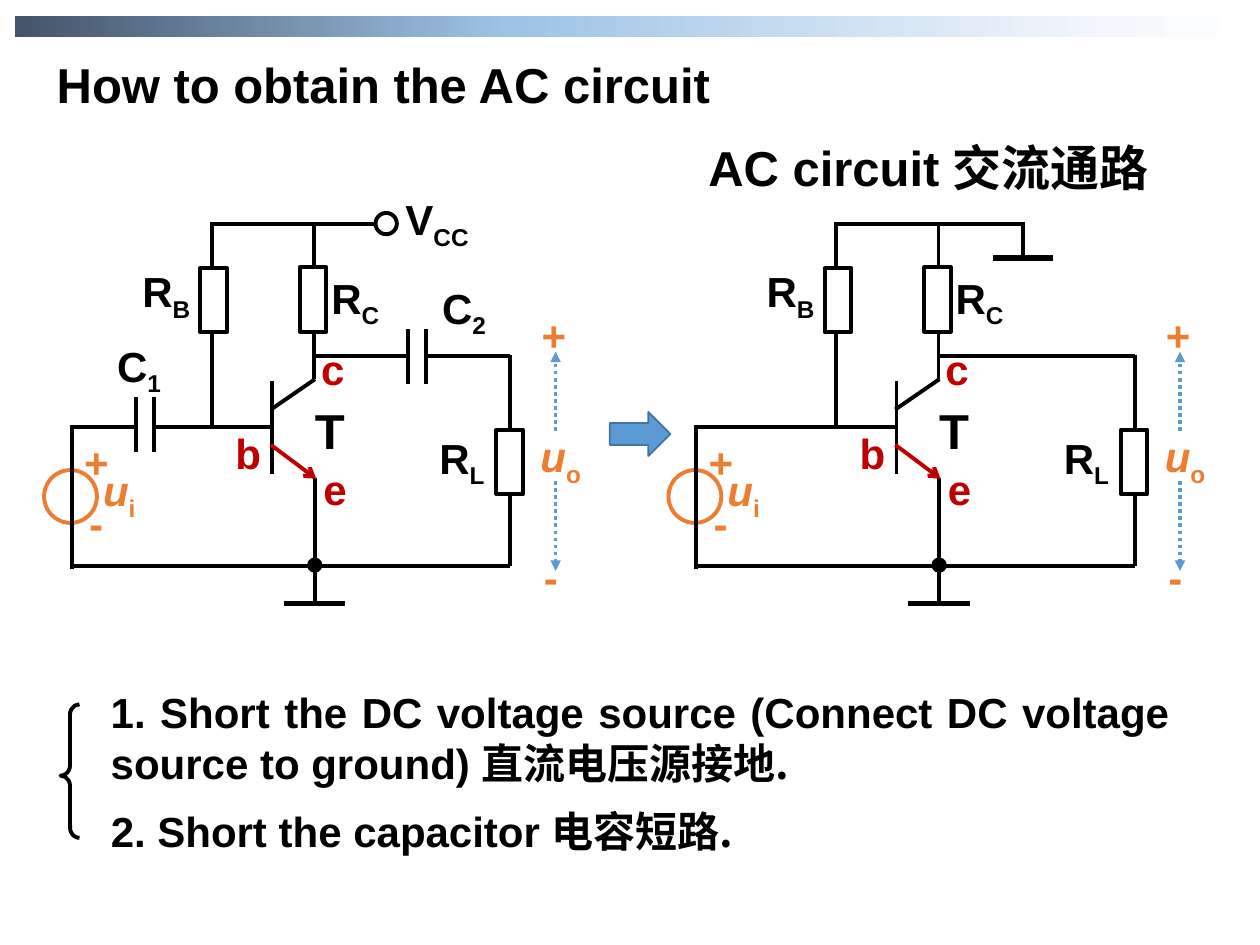
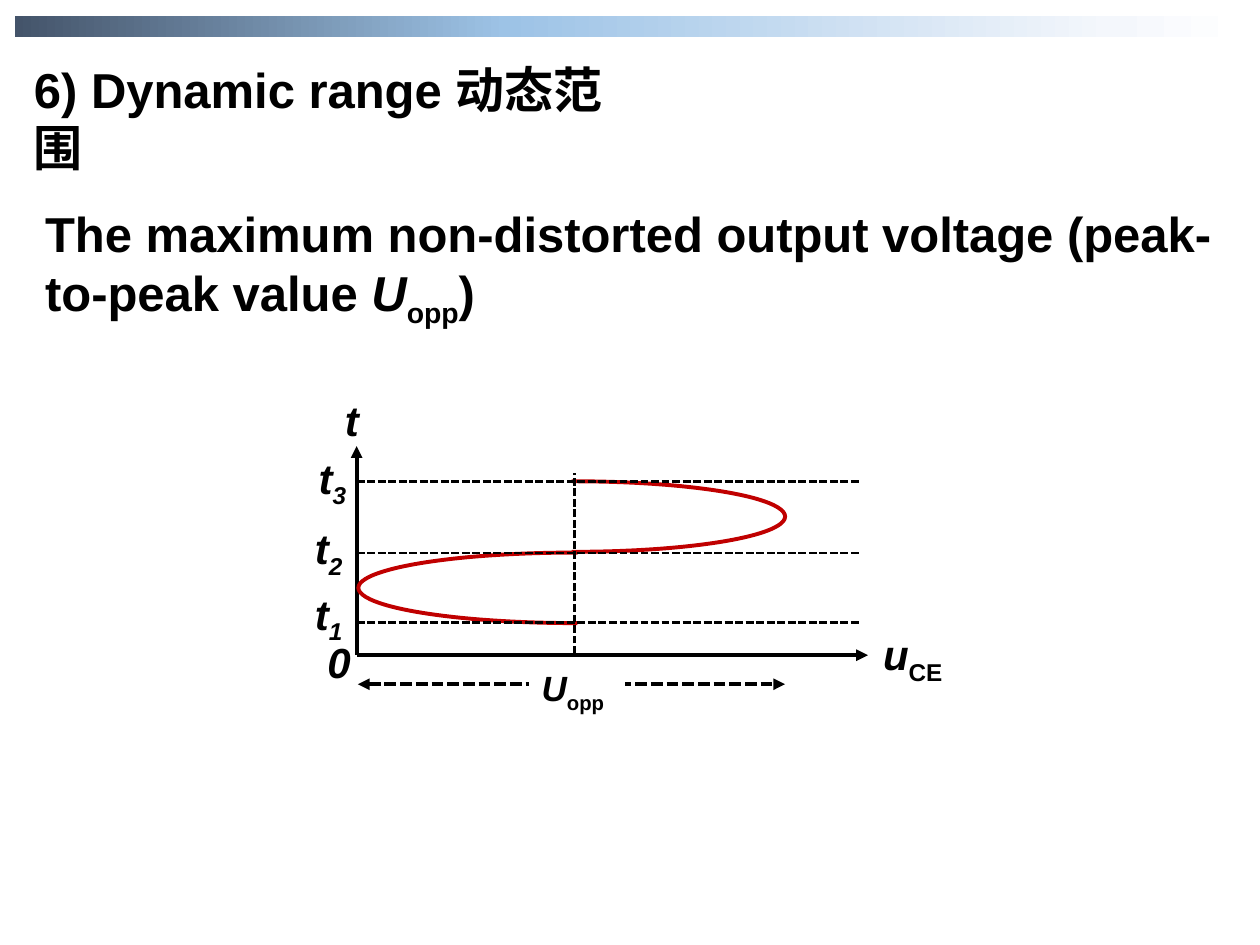
from lxml import etree
from pptx import Presentation
from pptx.dml.color import RGBColor
from pptx.enum.dml import MSO_LINE
from pptx.enum.shapes import MSO_CONNECTOR, MSO_SHAPE
from pptx.enum.text import MSO_ANCHOR, MSO_AUTO_SIZE, PP_ALIGN
from pptx.oxml.ns import qn
from pptx.util import Pt

STRAIGHT = MSO_CONNECTOR.STRAIGHT
RECT, OVAL, ARC = MSO_SHAPE.RECTANGLE, MSO_SHAPE.OVAL, MSO_SHAPE.ARC
ARROW, BRACE = MSO_SHAPE.RIGHT_ARROW, MSO_SHAPE.LEFT_BRACE
DOTS, DASHES = MSO_LINE.ROUND_DOT, MSO_LINE.SQUARE_DOT
LEFT, CENTER, JUSTIFY = PP_ALIGN.LEFT, PP_ALIGN.CENTER, PP_ALIGN.JUSTIFY
TOP, NO_FIT = MSO_ANCHOR.TOP, MSO_AUTO_SIZE.NONE

BLACK, WHITE, RED, ORANGE, BLUE = "000000", "FFFFFF", "C00000", "ED7D31", "5B9BD5"
FONT, CJK_FONT = "Arial", "Noto Sans CJK SC"
BAND_STOPS = [(0, "44546A"), (40, "9DC3E6"), (89, "F4F7FC"), (100, WHITE)]

# Runs are (text, flags): i italic, s subscript, c Chinese
# Slide 1: texts
AC_TITLE = [("How to obtain the AC circuit", "")]
AC_HEADING = [("AC circuit ", ""), ("交流通路", "c")]
STEPS = [
    (388.8, 63.4, 619.2, [("1. Short the DC voltage source (Connect DC voltage source to ground) ", ""),
                          ("直流电压源接地.", "c")]),
    (456.5, 36, 433.4, [("2. Short the capacitor ", ""), ("电容短路.", "c")]),
]

# Slide 1: circuit, in the coordinates of the left-hand drawing
AC_SHIFT = 356.8
SOURCE_X, LOAD_X, BASE_X, EMITTER_X, BIAS_X = 41, 291.6, 155.5, 180, 121
TOP_Y, OUT_Y, BASE_Y, GROUND_Y = 128.2, 203.5, 244, 323.3
COMMON_WIRES = [
    (BASE_X, 217.5, BASE_X, 270.7),
    (BASE_X - 0.7, 234, EMITTER_X, 216.7),
    (179.5, 216.7, 179.5, 127.2),
    (EMITTER_X, 273, EMITTER_X, 345),
    (BIAS_X, BASE_Y, BIAS_X, 126.7),
    (LOAD_X, GROUND_Y, SOURCE_X, GROUND_Y),
    (LOAD_X, 203, LOAD_X, GROUND_Y),
    (SOURCE_X, 242.6, SOURCE_X, 325.4),
]
DC_WIRES = [
    (214.6, TOP_Y, 120.2, TOP_Y),
    (BASE_X, BASE_Y, 87.8, BASE_Y),
    (77.8, BASE_Y, SOURCE_X, BASE_Y),
    (233.3, OUT_Y, EMITTER_X, OUT_Y),
    (LOAD_X, OUT_Y, 243.4, OUT_Y),
] + [(x, y, x, y + 31.7) for x, y in [(77.8, 226.8), (87.8, 226.8), (233.3, 188), (243.4, 188)]]
AC_WIRES = [
    (227.9, TOP_Y, 120.2, TOP_Y),
    (BASE_X, BASE_Y, SOURCE_X, BASE_Y),
    (LOAD_X, OUT_Y, EMITTER_X, OUT_Y),
    (227.9, 126.7, 227.9, 148.3),
]
RESISTORS = [(122, 153.2), (179, 152.8), (291.3, 245.5)]  # centre x, top
COMMON_LABELS = [
    (74.2, 148.3, [("R", ""), ("B", "s")], BLACK),
    (182.2, 152, [("R", ""), ("C", "s")], BLACK),
    (244, 243.4, [("R", ""), ("L", "s")], BLACK),
    (51.8, 262, [("u", "i"), ("i", "s")], ORANGE),
    (41, 246.2, [("+", "")], ORANGE),
    (43.9, 280.8, [("-", "")], ORANGE),
    (301.7, 242.6, [("u", "i"), ("o", "s")], ORANGE),
    (302.4, 173.5, [("+", "")], ORANGE),
    (303.8, 311.8, [("-", "")], ORANGE),
    (127.4, 240.5, [("b", "")], RED),
    (177.8, 261.4, [("e", "")], RED),
    (176.4, 193, [("c", "")], RED),
]
DC_LABELS = [
    (224.6, 107.3, [("V", ""), ("CC", "s")], BLACK),
    (59.8, 190.8, [("C", ""), ("1", "s")], BLACK),
    (245.5, 157.7, [("C", ""), ("2", "s")], BLACK),
]

# Slide 2: texts and time axis
RANGE_TITLE = [("6) Dynamic range ", ""), ("动态范围", "c")]
DEFINITION = [("The maximum non-distorted output voltage (peak-to-peak value ", ""),
              ("U", "i"), ("opp", "s"), (")", "")]
ORIGIN_X, ORIGIN_Y = 203.8, 374.4
TIME_MARKS = [("1", 355.7, 172.8, 332.6), ("2", 316.1, 172.8, 295.2), ("3", 275, 175, 254.9)]
AXIS_LABELS = [
    (190, 221.8, [("t", "i")], BLACK),
    (497.5, 355.7, [("u", "i"), ("CE", "s")], BLACK),
    (180, 360, [("0", "i")], BLACK),
]
HALF_WAVES = [(329, 335.9, 248.4, 270), (327.6, 295.2, 242, 90)]  # centre, span, rotation


def rgb(color):
    return RGBColor.from_string(color)


def write(tf, runs, size=24, color=BLACK, align=LEFT):
    tf.word_wrap = True
    tf.auto_size = NO_FIT
    tf.vertical_anchor = TOP
    p = tf.paragraphs[0]
    p.alignment = align
    for text, flags in runs:
        r = p.add_run()
        r.text = text
        r.font.size, r.font.bold, r.font.italic = Pt(size), True, "i" in flags
        r.font.color.rgb = rgb(color)
        r.font.name = CJK_FONT if "c" in flags else FONT
        rPr = r._r.get_or_add_rPr()
        etree.SubElement(rPr, qn("a:ea")).set("typeface", CJK_FONT)
        if "s" in flags:
            rPr.set("baseline", "-25000")


def text(shapes, x, y, w, h, runs, **style):
    sp = shapes.add_textbox(Pt(x), Pt(y), Pt(w), Pt(h))
    write(sp.text_frame, runs, **style)
    return sp


def labels(shapes, items, dx=0):
    for x, y, runs, color in items:
        w, h = (57, 42.5) if len(runs) > 1 else (39, 36)
        text(shapes, x + dx, y, w, h, runs, color=color)


def shape(shapes, kind, x, y, w, h, fill=None, line=None, width=2.25):
    sp = shapes.add_shape(kind, Pt(x), Pt(y), Pt(w), Pt(h))
    sp.shadow.inherit = False
    if fill:
        sp.fill.solid()
        sp.fill.fore_color.rgb = rgb(fill)
    else:
        sp.fill.background()
    if line:
        sp.line.color.rgb = rgb(line)
        sp.line.width = Pt(width)
    else:
        sp.line.fill.background()
    return sp


def wire(shapes, x1, y1, x2, y2, color=BLACK, width=2.25, dash=None, head=None, tail=None):
    c = shapes.add_connector(STRAIGHT, Pt(x1), Pt(y1), Pt(x2), Pt(y2))
    c.line.color.rgb = rgb(color)
    c.line.width = Pt(width)
    if dash:
        c.line.dash_style = dash
    spPr = c._element.spPr
    for tag, end in (("a:headEnd", head), ("a:tailEnd", tail)):
        if end:
            etree.SubElement(spPr.find(qn("a:ln")), qn(tag)).set("type", end)
    etree.SubElement(spPr, qn("a:effectLst"))


def new_slide(prs, title, x, y, w, h):
    s = prs.slides.add_slide(prs.slide_layouts[5])
    # Gradient band
    band = shape(s.shapes, RECT, 8.6, 9.4, 702.8, 11.5)
    band.fill.gradient()
    band.fill.gradient_angle = 0
    stops = band._element.spPr.find(qn("a:gradFill")).find(qn("a:gsLst"))
    for stop in list(stops):
        stops.remove(stop)
    for pos, color in BAND_STOPS:
        gs = etree.SubElement(stops, qn("a:gs"), pos=str(pos * 1000))
        etree.SubElement(gs, qn("a:srgbClr"), val=color)
    # Title
    t = s.shapes.title
    t.left, t.top, t.width, t.height = Pt(x), Pt(y), Pt(w), Pt(h)
    write(t.text_frame, title, size=28)
    return s


def circuit(s, dx, wires, extra_labels=()):
    g = s.shapes.add_group_shape().shapes
    shape(g, OVAL, 25.2 + dx, 268.6, 30.2, 30.2, line=ORANGE)
    for x1, y1, x2, y2 in COMMON_WIRES + wires:
        wire(g, x1 + dx, y1, x2 + dx, y2)
    wire(g, 154.8 + dx, 254.2, 180.7 + dx, 273.6, RED, tail="arrow")
    wire(g, 162.2 + dx, 345, 197.3 + dx, 345, width=3)
    for x, y in RESISTORS:
        shape(g, RECT, x - 7.6 + dx, y, 15.2, 36.7, WHITE, BLACK)
    shape(g, OVAL, 176.6 + dx, 319.7, 6.5, 6.5, BLACK, BLACK)
    # Output voltage arrows
    for y1, y2 in [(275, 326.2), (246.2, 200.9)]:
        wire(g, 317.5 + dx, y1, 317.5 + dx, y2, BLUE, 2, DOTS, tail="triangle")
    labels(g, COMMON_LABELS + list(extra_labels), dx)
    text(g, 172.8 + dx, 225.4, 38.2, 41, [("T", "")], size=28)
    return g


def ac_circuit_slide(prs):
    s = new_slide(prs, AC_TITLE, 25.2, 27.4, 615.6, 41)
    g = circuit(s, 0, DC_WIRES, DC_LABELS)
    shape(g, OVAL, 214.6, 121.7, 12.2, 12.2, WHITE, BLACK)
    shape(s.shapes, ARROW, 348.5, 235.4, 34.6, 25.2, BLUE, "43739E", 1)
    g = circuit(s, AC_SHIFT, AC_WIRES)
    wire(g, 210.6 + AC_SHIFT, 147.4, 245.2 + AC_SHIFT, 147.4, width=3)
    text(s.shapes, 386.6, 74.9, 288, 41, AC_HEADING, size=28, align=CENTER)
    # Steps with brace
    for y, h, w, runs in STEPS:
        text(s.shapes, 56.2, y, w, h, runs, align=JUSTIFY)
    brace = shape(s.shapes, BRACE, 34.6, 402.5, 10.8, 76.3, line=BLACK)
    brace.adjustments[0], brace.adjustments[1] = 0.541, 0.534


def dynamic_range_slide(prs):
    s = new_slide(prs, RANGE_TITLE, 12.2, 30.2, 359.3, 40.3)
    text(s.shapes, 18.7, 113, 692.6, 81.4, DEFINITION, size=28)
    g = s.shapes.add_group_shape().shapes
    # Axes
    wire(g, ORIGIN_X, ORIGIN_Y, ORIGIN_X, 254.9, tail="triangle")
    wire(g, ORIGIN_X, ORIGIN_Y, 496, ORIGIN_Y, tail="triangle")
    labels(g, AXIS_LABELS)
    # Output waveform
    for cx, cy, span, turn in HALF_WAVES:
        arc = shape(g, ARC, cx - 20.15, cy - span / 2, 40.3, span, line=RED)
        arc.adjustments[0], arc.adjustments[1] = 106.3, 1.734
        arc.rotation = turn
    # Guides and time marks
    for n, y, x, label_y in TIME_MARKS:
        wire(g, ORIGIN_X, y, 491, y, width=1.5, dash=DASHES)
        text(g, x, label_y, 39.6, 42.5, [("t", "i"), (n, "is")])
    wire(g, 328.3, 373.7, 328.3, 270, width=1.5, dash=DASHES)
    # Peak-to-peak span
    wire(g, 204.5, 391, 448.6, 391, dash=DASHES, head="triangle", tail="triangle")
    span_label = text(g, 302.4, 377.3, 54.7, 37.4, [("U", "i"), ("opp", "s")], size=20)
    span_label.fill.solid()
    span_label.fill.fore_color.rgb = rgb(WHITE)


def main():
    prs = Presentation()
    prs.slide_width, prs.slide_height = Pt(720), Pt(540)
    ac_circuit_slide(prs)
    dynamic_range_slide(prs)
    prs.save("out.pptx")


if __name__ == "__main__":
    main()
